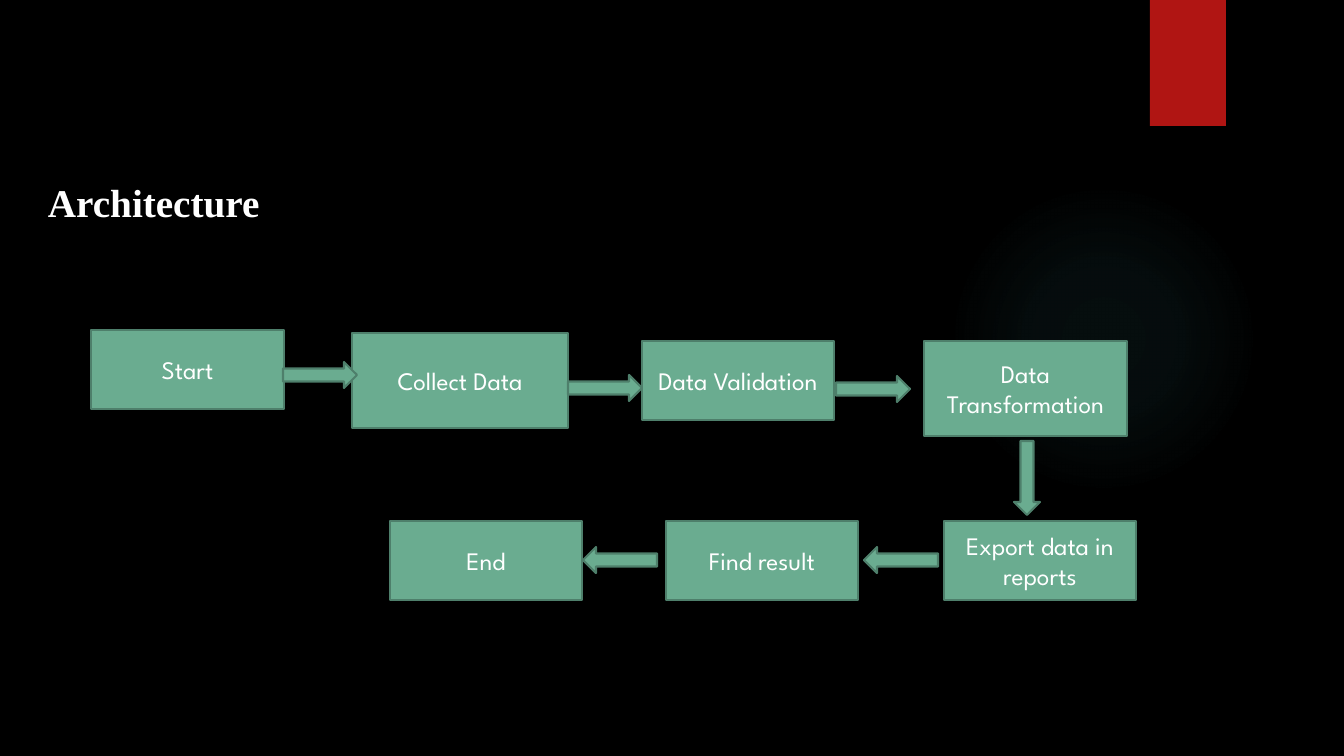
from pptx import Presentation
from pptx.dml.color import RGBColor
from pptx.enum.shapes import MSO_SHAPE as Shape
from pptx.enum.text import MSO_ANCHOR as Anchor, PP_ALIGN as Align
from pptx.oxml import parse_xml
from pptx.oxml.ns import nsdecls
from pptx.util import Pt
from dataclasses import dataclass


@dataclass(frozen=True)
class Theme:
    background: str = "000000"
    accent: str = "B01513"
    glow: str = "50B9C1"
    fill: str = "6AAC90"
    outline: str = "4E7F6B"
    text: str = "FFFFFF"
    title_font: str = "Times New Roman"
    label_font: str = "League Spartan"
    title_size: int = 28
    label_size: int = 18
    line_width: float = 1.5


theme = Theme()
PX = 12192000 / 1344


def px(*lengths):
    return [round(length * PX) for length in lengths]


def add_shape(kind, frame, fill, outline=None):
    shape = page.shapes.add_shape(kind, *px(*frame))
    shape.shadow.inherit = False
    shape.fill.solid()
    shape.fill.fore_color.rgb = RGBColor.from_string(fill)
    if outline:
        shape.line.color.rgb = RGBColor.from_string(outline)
        shape.line.width = Pt(theme.line_width)
    else:
        shape.line.fill.background()
    return shape


deck = Presentation()
deck.slide_width, deck.slide_height = px(1344, 756)
page = deck.slides.add_slide(deck.slide_layouts[6])
page.background.fill.solid()
page.background.fill.fore_color.rgb = RGBColor.from_string(theme.background)

glow = add_shape(Shape.OVAL, (949, 184, 310, 310), theme.glow)
stops = "".join(
    f'<a:gs pos="{place * 1000}"><a:srgbClr val="{theme.glow}">'
    f'<a:alpha val="{alpha * 1000}"/></a:srgbClr></a:gs>'
    for place, alpha in [(0, 7), (36, 6), (69, 0)]
)
gradient = parse_xml(
    f'<a:gradFill {nsdecls("a")}><a:gsLst>{stops}</a:gsLst><a:path path="circle">'
    '<a:fillToRect l="50000" t="50000" r="50000" b="50000"/></a:path></a:gradFill>'
)
properties = glow.element.spPr
properties.replace(properties.find("{*}solidFill"), gradient)

add_shape(Shape.RECTANGLE, (1150, 0, 76, 126), theme.accent)

title = page.shapes.add_textbox(*px(38, 168, 1274, 564))
title.text_frame.word_wrap = True
title.text_frame.margin_top = px(10)[0]
para = title.text_frame.paragraphs[0]
para.text = "Architecture"
para.font.name = theme.title_font
para.font.size = Pt(theme.title_size)
para.font.bold = True
para.font.color.rgb = RGBColor.from_string(theme.text)

steps = [
    ("Start", 91, 330, 193, 79),
    ("Collect Data", 352, 333, 216, 95),
    ("Data Validation", 642, 341, 192, 79),
    ("Data Transformation", 924, 341, 203, 95),
    ("Export data in reports", 944, 521, 192, 79),
    ("Find result", 666, 521, 192, 79),
    ("End", 390, 521, 192, 79),
]
for label, *frame in steps:
    box = add_shape(Shape.RECTANGLE, frame, theme.fill, theme.outline)
    box.text_frame.word_wrap = True
    box.text_frame.vertical_anchor = Anchor.MIDDLE
    para = box.text_frame.paragraphs[0]
    para.text = label
    para.alignment = Align.CENTER
    para.font.name = theme.label_font
    para.font.size = Pt(theme.label_size)
    para.font.color.rgb = RGBColor.from_string(theme.text)

arrows = [
    (283, 362, 0),
    (568, 375, 0),
    (836, 376, 0),
    (990, 465, 90),
    (864, 547, 180),
    (583, 547, 180),
]
for left, top, turn in arrows:
    arrow = add_shape(Shape.RIGHT_ARROW, (left, top, 74, 26), theme.fill, theme.outline)
    arrow.rotation = turn

deck.save("out.pptx")
